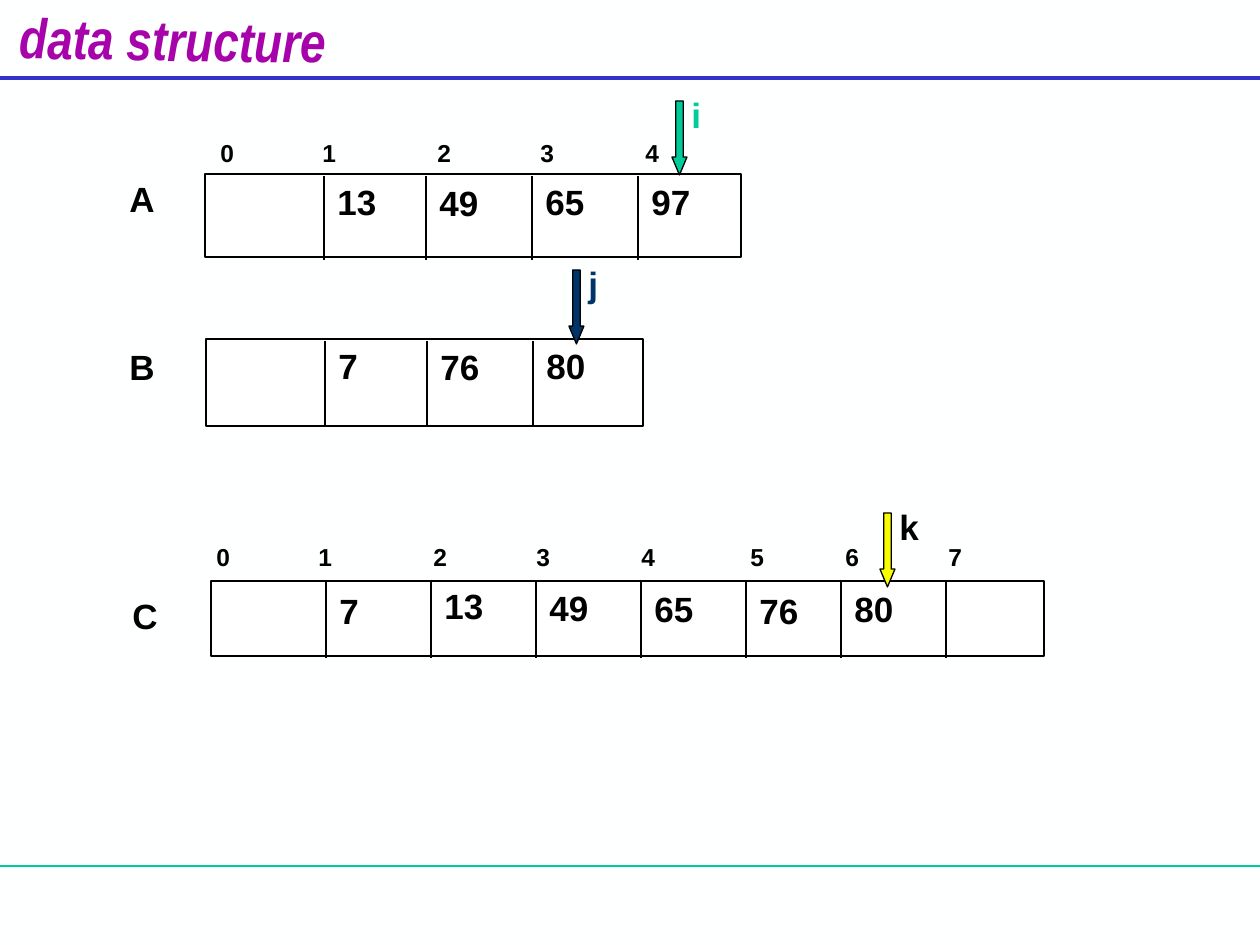
from pptx import Presentation, util as u
from pptx.dml.color import RGBColor
from pptx.enum import shapes
from pptx.oxml.ns import qn
from lxml import etree

EMU_PER_PX = 914400 / 126
COLORS = {
    "background": "FEFFFF",
    "title": "A603AB",
    "header_rule": "3333CC",
    "footer_rule": "00CC99",
    "ink": "000000",
    "cell": "FFFFFF",
    "i": "00CC99",
    "j": "003366",
    "k": "FAFD00",
}
INDEX_STOPS = [102, 217, 320, 425, 534, 629, 732]


def px(length):
    return u.Emu(round(length * EMU_PER_PX))


def box(left, top, width, height):
    return [px(length) for length in (left, top, width, height)]


def color(name):
    return RGBColor.from_string(COLORS[name])


def add_rule(slide, x1, y1, x2, y2, ink="ink", weight=0.75):
    rule = slide.shapes.add_connector(
        shapes.MSO_CONNECTOR.STRAIGHT, px(x1), px(y1), px(x2), px(y2))
    rule.line.color.rgb = color(ink)
    rule.line.width = u.Pt(weight)
    etree.SubElement(rule._element.spPr, qn("a:effectLst"))


def add_label(parent, words, area, size=20, ink="ink", font="Arial", stops=()):
    label = parent.shapes.add_textbox(*box(*area))
    frame = label.text_frame
    frame.word_wrap = True
    frame.text = words
    paragraph = frame.paragraphs[0]
    if stops:
        tabs = etree.SubElement(paragraph._p.get_or_add_pPr(), qn("a:tabLst"))
        for stop in stops:
            etree.SubElement(tabs, qn("a:tab"), pos=str(px(stop)), algn="l")
    run_font = paragraph.runs[0].font
    run_font.name = font
    run_font.size = u.Pt(size)
    run_font.bold = True
    run_font.color.rgb = color(ink)
    return label


def add_outlined(parent, kind, area, fill):
    outlined = parent.shapes.add_shape(kind, *box(*area))
    outlined.shadow.inherit = False
    outlined.fill.solid()
    outlined.fill.fore_color.rgb = color(fill)
    outlined.line.color.rgb = color("ink")
    outlined.line.width = u.Pt(0.75)
    return outlined


def add_title(slide, words):
    title = add_label(slide, words, (7, -1, 350, 68), 32, "title", "Arial Narrow")
    title.rotation = 0.8
    title.text_frame.paragraphs[0].runs[0].font.italic = True


def add_indices(slide, left, top, width, count):
    indices = "\t".join(str(index) for index in range(count))
    add_label(slide, indices, (left, top, width, 43), 14, stops=INDEX_STOPS[:count - 1])


def add_array(slide, name, name_at, area, divider_span, cells):
    add_outlined(slide, shapes.MSO_SHAPE.RECTANGLE, area, "cell")
    add_label(slide, name, (*name_at, 84, 55))
    for left, value, top in cells:
        add_rule(slide, left, divider_span[0], left, divider_span[1])
        if value:
            add_label(slide, value, (left + 1, top, 84, 55))


def add_pointer(slide, name, left, top, ink):
    pointer = slide.shapes.add_group_shape()
    arrow = add_outlined(pointer, shapes.MSO_SHAPE.DOWN_ARROW, (left, top, 15, 74), name)
    arrow.adjustments[0] = 0.5
    arrow.adjustments[1] = 1.19
    add_label(pointer, name, (left + 7, top - 14, 67, 55), ink=ink)


def main():
    deck = Presentation()
    deck.slide_width, deck.slide_height = px(1260), px(945)
    slide = deck.slides.add_slide(deck.slide_layouts[6])
    slide.background.fill.solid()
    slide.background.fill.fore_color.rgb = color("background")

    add_rule(slide, 0, 866, 1260, 866, "footer_rule")
    add_rule(slide, 0, 78, 1260, 78, "header_rule", 2.25)
    add_title(slide, "data structure")

    add_indices(slide, 208, 132, 536, 5)
    add_array(slide, "A", (117, 171), (205, 174, 536, 83), (176, 260), [
        (324, "13", 174), (426, "49", 175), (532, "65", 174), (638, "97", 174)])
    add_array(slide, "B", (117, 339), (206, 339, 437, 87), (341, 425), [
        (325, "7", 338), (427, "76", 339), (533, "80", 338)])
    add_indices(slide, 204, 536, 839, 8)
    add_array(slide, "C", (120, 588), (211, 581, 833, 75), (581, 658), [
        (326, "7", 583), (431, "13", 578), (536, "49", 580), (641, "65", 581),
        (746, "76", 583), (841, "80", 581), (946, "", 581)])

    add_pointer(slide, "i", 672, 101, "i")
    add_pointer(slide, "j", 569, 270, "j")
    add_pointer(slide, "k", 880, 513, "ink")
    deck.save("out.pptx")


if __name__ == "__main__":
    main()
